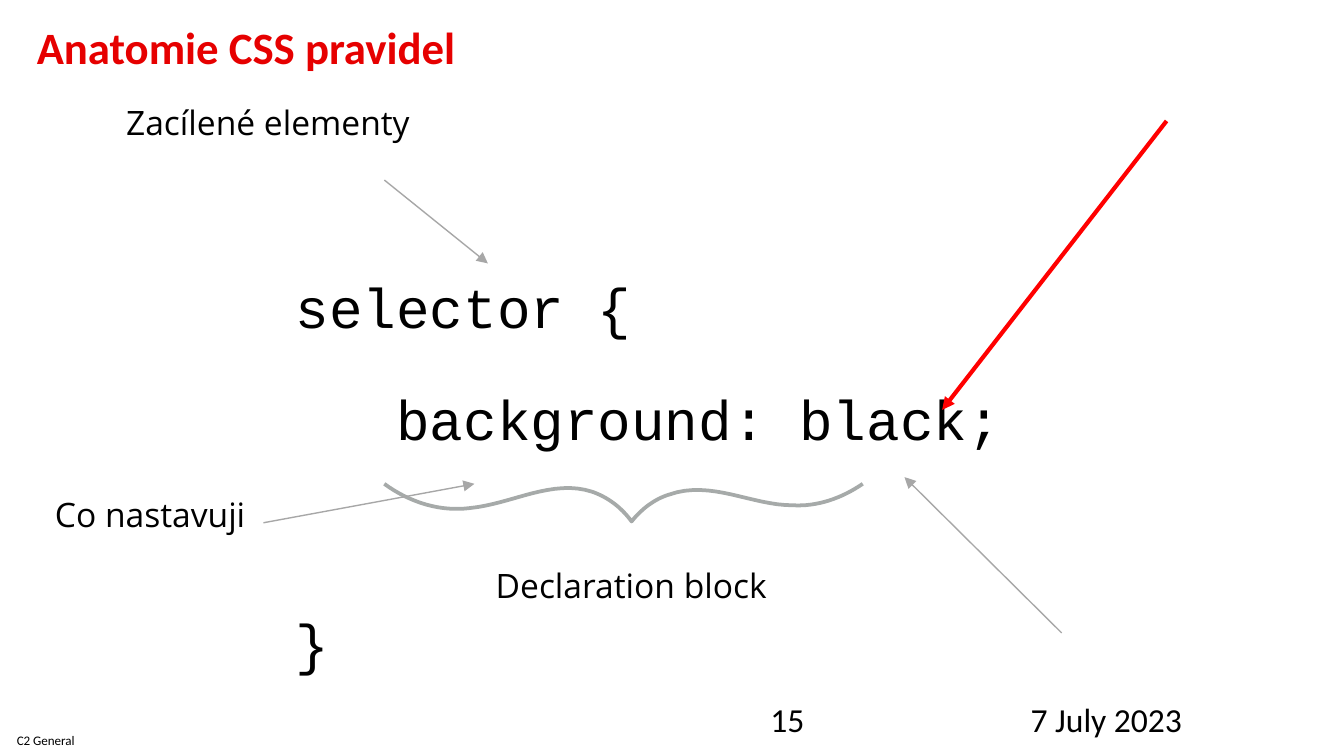
from dataclasses import dataclass

from lxml import etree
from pptx import Presentation
from pptx.dml.color import RGBColor
from pptx.enum.shapes import MSO_CONNECTOR
from pptx.enum.text import MSO_ANCHOR, PP_ALIGN
from pptx.oxml.ns import qn
from pptx.slide import Slide
from pptx.util import Inches, Pt

STRAIGHT = MSO_CONNECTOR.STRAIGHT
TOP, MIDDLE = MSO_ANCHOR.TOP, MSO_ANCHOR.MIDDLE
LEFT, CENTER = PP_ALIGN.LEFT, PP_ALIGN.CENTER

SLIDE_WIDTH = Inches(10)
SLIDE_HEIGHT = SLIDE_WIDTH * 9 // 16
COLUMNS, ROWS = 100, 56.25
CURVE_STEPS = 16

Point = tuple[float, float]


@dataclass(frozen=True)
class TextStyle:
    font: str
    size: float
    color: str = "000000"
    bold: bool = False
    inset: Point = (1, 1)
    align: PP_ALIGN = LEFT
    anchor: MSO_ANCHOR = TOP
    line_spacing: float = 1
    space_after: float = 0


@dataclass(frozen=True)
class Theme:
    title: TextStyle = TextStyle("Calibri", 24, "E60000", True, (0, 0), line_spacing=0.8)
    code: TextStyle = TextStyle("Courier New", 30, line_spacing=1.5, space_after=6)
    label: TextStyle = TextStyle("Open Sans", 18)
    footer: TextStyle = TextStyle("Calibri", 18, inset=(1, 0.5))
    classification: TextStyle = TextStyle("Calibri", 7, inset=(0, 0), align=CENTER, anchor=MIDDLE)
    pointer: str = "A7A7A7"
    highlight: str = "FF0000"
    brace: str = "A6AAA9"
    thin: float = 0.75
    medium: float = 2
    thick: float = 2.25


@dataclass(frozen=True)
class TextBlock:
    lines: tuple[str, ...]
    style: TextStyle
    column: float
    row: float
    columns: float
    rows: float


@dataclass(frozen=True)
class Arrow:
    start: Point
    tip: Point
    color: str
    weight: float


THEME = Theme()
CODE_GAP = 60

CODE = TextBlock(("selector {", "   background: black;", "}"), THEME.code, 21, 16.8, 82.1, 38.6)
TEXT_BLOCKS = (
    TextBlock(("C2 General",), THEME.classification, 0, 54.4, 6.8, 1.4),
    TextBlock(("Anatomie CSS pravidel",), THEME.title, 2.74, 2.26, 94.4, 7.3),
    TextBlock(("15",), THEME.footer, 56.34, 51.54, 4.5, 2.6),
    TextBlock(("7 July 2023",), THEME.footer, 75.7, 51.54, 23.3, 2.6),
    TextBlock(("Zacílené elementy",), THEME.label, 8.4, 6.6, 24.2, 8.3),
    TextBlock(("Declaration block",), THEME.label, 35.9, 41, 25, 5.2),
    TextBlock(("Co nastavuji",), THEME.label, 3.1, 35.74, 24.2, 8.3),
)
ARROWS = (
    Arrow((28.6, 13.4), (36.3, 19.6), THEME.pointer, THEME.thin),
    Arrow((19.6, 38.9), (35.3, 36), THEME.pointer, THEME.thin),
    Arrow((86.8, 9), (70.1, 30.5), THEME.highlight, THEME.thick),
    Arrow((79, 47.1), (67.3, 35.5), THEME.pointer, THEME.thin),
)
BRACE_START = (28.6, 36)
BRACE_CURVES = (
    ((30.5, 37.4), (32.8, 38.1), (35, 37.8)),
    ((38.1, 37.5), (41.1, 35.6), (44.1, 36.6)),
    ((45.2, 37), (46.2, 37.7), (47, 38.8)),
    ((47.8, 37.8), (48.8, 37.1), (49.8, 36.8)),
    ((52.9, 35.7), (55.9, 37.6), (59, 37.6)),
    ((60.8, 37.7), (62.6, 37.1), (64.2, 36)),
)


def across(columns: float) -> int:
    return round(SLIDE_WIDTH * columns / COLUMNS)


def down(rows: float) -> int:
    return round(SLIDE_HEIGHT * rows / ROWS)


def place(point: Point) -> tuple[int, int]:
    return across(point[0]), down(point[1])


def draw_text(slide: Slide, block: TextBlock):
    style = block.style
    frame = slide.shapes.add_textbox(
        across(block.column), down(block.row), across(block.columns), down(block.rows)
    ).text_frame
    frame.word_wrap = True
    frame.vertical_anchor = style.anchor
    frame.margin_left = frame.margin_right = across(style.inset[0])
    frame.margin_top = frame.margin_bottom = down(style.inset[1])
    frame.text = "\n".join(block.lines)
    for paragraph in frame.paragraphs:
        paragraph.alignment = style.align
        paragraph.line_spacing = style.line_spacing
        paragraph.space_after = Pt(style.space_after)
        for run in paragraph.runs:
            run.font.name = style.font
            run.font.size = Pt(style.size)
            run.font.bold = style.bold
            run.font.color.rgb = RGBColor.from_string(style.color)
    return frame


def draw_arrow(slide: Slide, arrow: Arrow) -> None:
    connector = slide.shapes.add_connector(STRAIGHT, *place(arrow.start), *place(arrow.tip))
    connector.line.color.rgb = RGBColor.from_string(arrow.color)
    connector.line.width = Pt(arrow.weight)
    etree.SubElement(connector.line._get_or_add_ln(), qn("a:tailEnd"), type="triangle")
    etree.SubElement(connector._element.spPr, qn("a:effectLst"))


def bezier(start: Point, first: Point, second: Point, end: Point, t: float) -> Point:
    weights = ((1 - t) ** 3, 3 * t * (1 - t) ** 2, 3 * t**2 * (1 - t), t**3)
    controls = (start, first, second, end)
    x, y = (sum(w * c[axis] for w, c in zip(weights, controls)) for axis in (0, 1))
    return x, y


def draw_brace(slide: Slide) -> None:
    outline: list[Point] = []
    start = BRACE_START
    for first, second, end in BRACE_CURVES:
        outline += [
            bezier(start, first, second, end, step / CURVE_STEPS)
            for step in range(1, CURVE_STEPS + 1)
        ]
        start = end
    builder = slide.shapes.build_freeform(*place(BRACE_START))
    builder.add_line_segments([place(point) for point in outline], close=False)
    brace = builder.convert_to_shape()
    brace.shadow.inherit = False
    brace.fill.background()
    brace.line.color.rgb = RGBColor.from_string(THEME.brace)
    brace.line.width = Pt(THEME.medium)


def main() -> None:
    presentation = Presentation()
    presentation.slide_width, presentation.slide_height = SLIDE_WIDTH, SLIDE_HEIGHT
    slide = presentation.slides.add_slide(presentation.slide_layouts[6])
    code_frame = draw_text(slide, CODE)
    code_frame.paragraphs[-1].space_before = Pt(CODE_GAP)
    for block in TEXT_BLOCKS:
        draw_text(slide, block)
    draw_brace(slide)
    for arrow in ARROWS:
        draw_arrow(slide, arrow)
    presentation.save("out.pptx")


if __name__ == "__main__":
    main()
